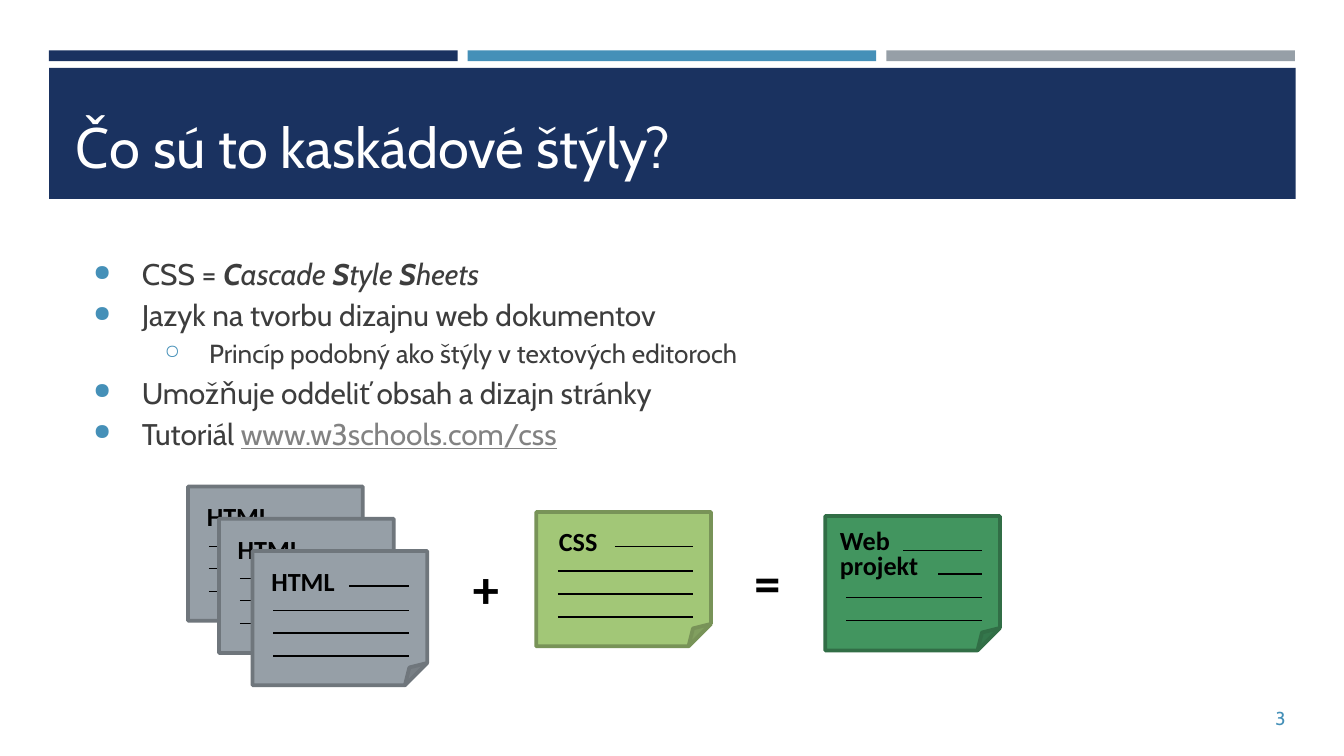
from dataclasses import dataclass

from lxml.etree import SubElement
from pptx import Presentation
from pptx.dml.color import RGBColor
from pptx.enum.shapes import MSO_CONNECTOR, MSO_SHAPE
from pptx.enum.text import MSO_ANCHOR, PP_ALIGN
from pptx.oxml.ns import qn
from pptx.util import Pt

SCALE = 4572
COLORS = {
    "navy": "1A3260", "blue": "4590B8", "gray": "969FA7", "gray_edge": "6F767C",
    "lime": "A2C777", "lime_edge": "789358", "green": "42955F",
    "green_edge": "316E46", "text": "3D3D3D", "link": "828282",
    "white": "FFFFFF", "black": "000000",
}


@dataclass(frozen=True)
class Box:
    left: int
    top: int
    width: int
    height: int

    def emu(self) -> tuple[int, ...]:
        return tuple(px(n) for n in (self.left, self.top, self.width, self.height))


@dataclass(frozen=True)
class Style:
    size: int
    color: str
    name: str = "Cabin"
    bold: bool = False


@dataclass(frozen=True)
class Span:
    text: str
    bold: bool = False
    italic: bool = False
    link: bool = False


@dataclass(frozen=True)
class Bullet:
    spans: tuple[Span, ...]
    level: int = 0


@dataclass(frozen=True)
class Sheet:
    label: str
    left: int
    top: int
    color: str
    label_box: Box
    lines: tuple[tuple[int, int], ...]


def px(value: int) -> int:
    return value * SCALE


def rgb(color: str) -> RGBColor:
    return RGBColor.from_string(COLORS[color])


def set_font(paragraph, style: Style) -> None:
    font = paragraph.font
    font.name, font.size, font.bold = style.name, Pt(style.size), style.bold
    font.color.rgb = rgb(style.color)


def add_block(shapes, kind, box: Box, fill: str, edge: str | None = None) -> None:
    shape = shapes.add_shape(kind, *box.emu())
    shape.shadow.inherit = False
    shape.fill.solid()
    shape.fill.fore_color.rgb = rgb(fill)
    if edge:
        shape.line.color.rgb = rgb(edge)
        shape.line.width = Pt(2)
    else:
        shape.line.fill.background()


def add_frame(shapes, box: Box, side: int, edge: int, anchor=MSO_ANCHOR.TOP):
    frame = shapes.add_textbox(*box.emu()).text_frame
    frame.word_wrap = True
    frame.vertical_anchor = anchor
    frame.margin_left = frame.margin_right = px(side)
    frame.margin_top = frame.margin_bottom = px(edge)
    return frame


def add_label(shapes, box: Box, text: str, size: int, spacing: float = 1.07) -> None:
    paragraph = add_frame(shapes, box, 20, 10).paragraphs[0]
    paragraph.text = text
    paragraph.line_spacing = spacing
    paragraph.space_after = Pt(8)
    set_font(paragraph, Style(size, "black", "Calibri", True))


def add_rule(shapes, start: int, end: int, top: int) -> None:
    line = shapes.add_connector(MSO_CONNECTOR.STRAIGHT, px(start), px(top), px(end), px(top))
    line.line.color.rgb = rgb("black")
    line.line.width = Pt(0.75)
    SubElement(line._element.spPr, qn("a:effectLst"))


def add_sheet(shapes, sheet: Sheet) -> None:
    add_block(shapes, MSO_SHAPE.FOLDED_CORNER, Box(sheet.left, sheet.top, 260, 200),
              sheet.color, f"{sheet.color}_edge")
    for start, top in sheet.lines:
        add_rule(shapes, sheet.left + start, sheet.left + 233, sheet.top + top)
    label = sheet.label_box
    box = Box(sheet.left + label.left, sheet.top + label.top, label.width, label.height)
    add_label(shapes, box, sheet.label, 14, 0.8 if "\v" in sheet.label else 1.07)


def add_bullet(paragraph, bullet: Bullet) -> None:
    paragraph.level = bullet.level
    paragraph.line_spacing = 1.15
    properties = paragraph._p.get_or_add_pPr()
    properties.set("marL", str(px(100 * (bullet.level + 1))))
    properties.set("indent", str(px(-66 if bullet.level else -72)))
    color = SubElement(properties, qn("a:buClr"))
    SubElement(color, qn("a:srgbClr"), val=COLORS["blue"])
    SubElement(properties, qn("a:buSzPct"), val="75000")
    SubElement(properties, qn("a:buChar"), char="○" if bullet.level else "●")
    set_font(paragraph, Style(14 if bullet.level else 16, "text"))
    for span in bullet.spans:
        run = paragraph.add_run()
        run.text = span.text
        if span.bold:
            run.font.bold = True
        if span.italic:
            run.font.italic = True
        if span.link:
            run.font.underline = True
            run.font.color.rgb = rgb("link")


BULLETS = (
    Bullet((Span("CSS = "), Span("C", True, True), Span("ascade ", italic=True),
            Span("S", True, True), Span("tyle ", italic=True),
            Span("S", True, True), Span("heets", italic=True))),
    Bullet((Span("Jazyk na tvorbu dizajnu web dokumentov"),)),
    Bullet((Span("Princíp podobný ako štýly v textových editoroch"),), 1),
    Bullet((Span("Umožňuje oddeliť obsah a dizajn stránky"),)),
    Bullet((Span("Tutoriál "), Span("www.w3schools.com/css", link=True))),
)
HTML_LINES = ((144, 52), (31, 89), (31, 122), (31, 156))
SHEET_GROUPS = (
    (Sheet("CSS", 798, 762, "lime", Box(14, 6, 156, 96),
           ((117, 51), (32, 88), (32, 122), (32, 156))),),
    (Sheet("Web\vprojekt", 1228, 768, "green", Box(2, 12, 216, 98),
           ((116, 51), (168, 86), (31, 121), (31, 155))),),
    tuple(Sheet("HTML", left, top, "gray", Box(8, 8, 156, 68), HTML_LINES)
          for left, top in ((280, 724), (326, 772), (376, 820))),
)


def main() -> None:
    presentation = Presentation()
    presentation.slide_width, presentation.slide_height = px(2000), px(1125)
    slide = presentation.slides.add_slide(presentation.slide_layouts[6])
    shapes = slide.shapes

    for index, color in enumerate(("navy", "blue", "gray")):
        add_block(shapes, MSO_SHAPE.RECTANGLE, Box(73 + 623 * index, 75, 608, 16), color)
    add_block(shapes, MSO_SHAPE.RECTANGLE, Box(73, 101, 1855, 195), "navy")

    title = add_frame(shapes, Box(97, 115, 1810, 166), 14, 14, MSO_ANCHOR.BOTTOM).paragraphs[0]
    title.text = "Čo sú to kaskádové štýly?"
    set_font(title, Style(30, "white"))

    body = add_frame(shapes, Box(97, 359, 1810, 710), 14, 14)
    for index, bullet in enumerate(BULLETS):
        add_bullet(body.add_paragraph() if index else body.paragraphs[0], bullet)

    number = add_frame(shapes, Box(1859, 1038, 68, 60), 14, 8, MSO_ANCHOR.MIDDLE).paragraphs[0]
    number.text = "3"
    number.alignment = PP_ALIGN.RIGHT
    set_font(number, Style(10, "blue"))

    for sheets in SHEET_GROUPS:
        group = shapes.add_group_shape()
        for sheet in sheets:
            add_sheet(group.shapes, sheet)
    add_label(shapes, Box(684, 812, 88, 146), "+", 28)
    add_label(shapes, Box(1103, 803, 88, 146), "=", 28)

    presentation.save("out.pptx")


if __name__ == "__main__":
    main()
